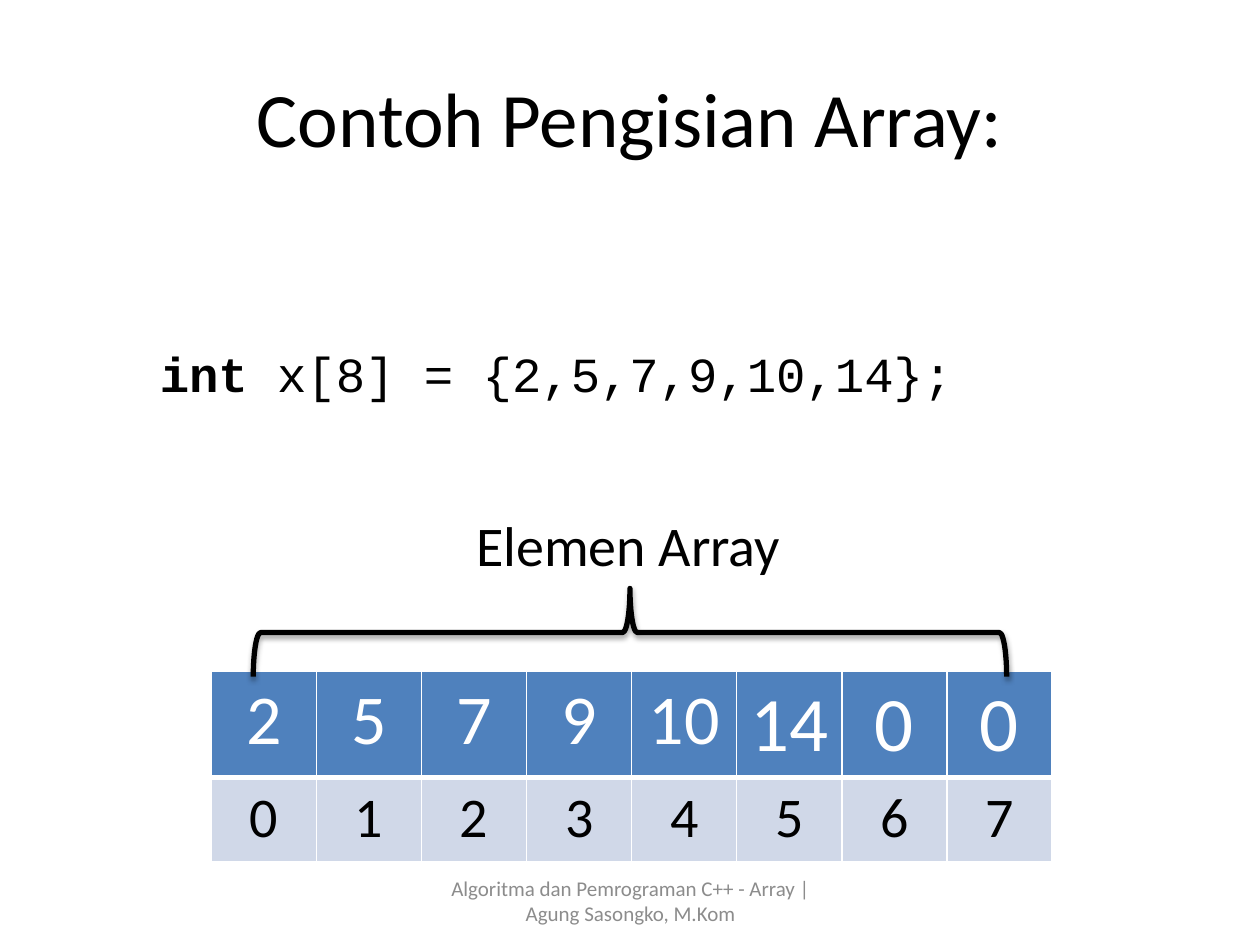
from dataclasses import dataclass

from lxml import etree
from pptx import Presentation
from pptx import util as u
from pptx.dml.color import RGBColor
from pptx.enum import shapes, text
from pptx.oxml import ns

COLORS = {
    "black": "000000",
    "white": "FFFFFF",
    "gray": "8C8C8C",
    "header": "4F81BD",
    "band": "D0D8E8",
}
COLUMN_WIDTH = 6.67 / 8


@dataclass(frozen=True)
class Run:
    content: str
    size: float
    font: str = "Calibri"
    color: str = "black"
    bold: bool = False


@dataclass(frozen=True)
class Label:
    left: float
    top: float
    width: float
    height: float
    runs: tuple[Run, ...]
    centered: bool = False
    middle: bool = False
    wrap: bool = True


@dataclass(frozen=True)
class TableRow:
    height: float
    fill: str
    runs: tuple[Run, ...]
    borders: dict[str, float]


LABELS = (
    Label(0.5, 0.3, 9, 1.25, (Run("Contoh Pengisian Array:", 44),), True, True),
    Label(1.17, 2.68, 8.2, 0.54, (
        Run("int ", 28, "Courier New", bold=True),
        Run("x[8] = {2,5,7,9,10,14};", 28, "Courier New"),
    )),
    Label(3.42, 6.95, 3.17, 0.4, (
        Run("Algoritma dan Pemrograman C++ - Array | Agung Sasongko, M.Kom", 12, color="gray"),
    ), True, True),
    Label(3.68, 4, 2.62, 0.64, (Run("Elemen Array", 32),), wrap=False),
)
VALUES = (2, 5, 7, 9, 10, 14, 0, 0)
ROWS = (
    TableRow(0.84, "header", tuple(
        Run(str(value), 40 if index < 5 else 44, color="white")
        for index, value in enumerate(VALUES)
    ), {"lnL": 1, "lnR": 1, "lnT": 1, "lnB": 3}),
    TableRow(0.67, "band", tuple(
        Run(str(index), 32) for index in range(len(VALUES))
    ), {"lnL": 1, "lnR": 1, "lnT": 3, "lnB": 1}),
)


def rgb(name: str) -> RGBColor:
    return RGBColor.from_string(COLORS[name])


def add_run(paragraph, run: Run) -> None:
    text_run = paragraph.add_run()
    text_run.text = run.content
    formats = {"size": u.Pt(run.size), "name": run.font, "bold": run.bold}
    for attribute, value in formats.items():
        setattr(text_run.font, attribute, value)
    text_run.font.color.rgb = rgb(run.color)


def add_label(slide, label: Label) -> None:
    box = slide.shapes.add_textbox(
        u.Inches(label.left), u.Inches(label.top),
        u.Inches(label.width), u.Inches(label.height),
    )
    frame = box.text_frame
    formats = {
        "word_wrap": label.wrap,
        "vertical_anchor": text.MSO_ANCHOR.MIDDLE if label.middle else text.MSO_ANCHOR.TOP,
    }
    for attribute, value in formats.items():
        setattr(frame, attribute, value)
    paragraph = frame.paragraphs[0]
    paragraph.alignment = text.PP_ALIGN.CENTER if label.centered else text.PP_ALIGN.LEFT
    for run in label.runs:
        add_run(paragraph, run)


def add_child(parent, tag: str, **attributes: str):
    return etree.SubElement(parent, ns.qn(f"a:{tag}"), attributes)


def set_borders(cell, borders: dict[str, float]) -> None:
    properties = cell._tc.get_or_add_tcPr()
    for tag, width in borders.items():
        line = add_child(properties, tag, w=str(u.Pt(width)))
        add_child(add_child(line, "solidFill"), "srgbClr", val=COLORS["white"])


def add_array_table(slide, rows: tuple[TableRow, ...]) -> None:
    columns = len(VALUES)
    table = slide.shapes.add_table(
        len(rows), columns, u.Inches(1.68), u.Inches(5.33),
        u.Inches(COLUMN_WIDTH * columns), u.Inches(sum(row.height for row in rows)),
    ).table
    for column in table.columns:
        column.width = u.Inches(COLUMN_WIDTH)
    for table_row, row in zip(table.rows, rows):
        table_row.height = u.Inches(row.height)
        for cell, run in zip(table_row.cells, row.runs):
            set_borders(cell, row.borders)
            cell.fill.solid()
            cell.fill.fore_color.rgb = rgb(row.fill)
            paragraph = cell.text_frame.paragraphs[0]
            paragraph.alignment = text.PP_ALIGN.CENTER
            add_run(paragraph, run)


def add_brace(slide) -> None:
    brace = slide.shapes.add_shape(
        shapes.MSO_SHAPE.RIGHT_BRACE,
        u.Inches(4.65), u.Inches(2.03), u.Inches(0.7), u.Inches(5.98),
    )
    brace.rotation = 270
    brace.fill.background()
    brace.line.color.rgb = rgb("black")
    brace.line.width = u.Pt(3)
    brace.shadow.inherit = False
    effects = brace._element.spPr.find(ns.qn("a:effectLst"))
    shadow = add_child(
        effects, "outerShdw", blurRad=str(u.Pt(3.1)), dist=str(u.Pt(1.8)),
        dir="5400000", rotWithShape="0",
    )
    color = add_child(shadow, "srgbClr", val=COLORS["black"])
    add_child(color, "alpha", val="35000")


def main() -> None:
    presentation = Presentation()
    presentation.slide_width = u.Inches(10)
    presentation.slide_height = u.Inches(7.5)
    slide = presentation.slides.add_slide(presentation.slide_layouts[6])
    *body_labels, brace_label = LABELS
    for label in body_labels:
        add_label(slide, label)
    add_array_table(slide, ROWS)
    add_brace(slide)
    add_label(slide, brace_label)
    presentation.save("out.pptx")


if __name__ == "__main__":
    main()
